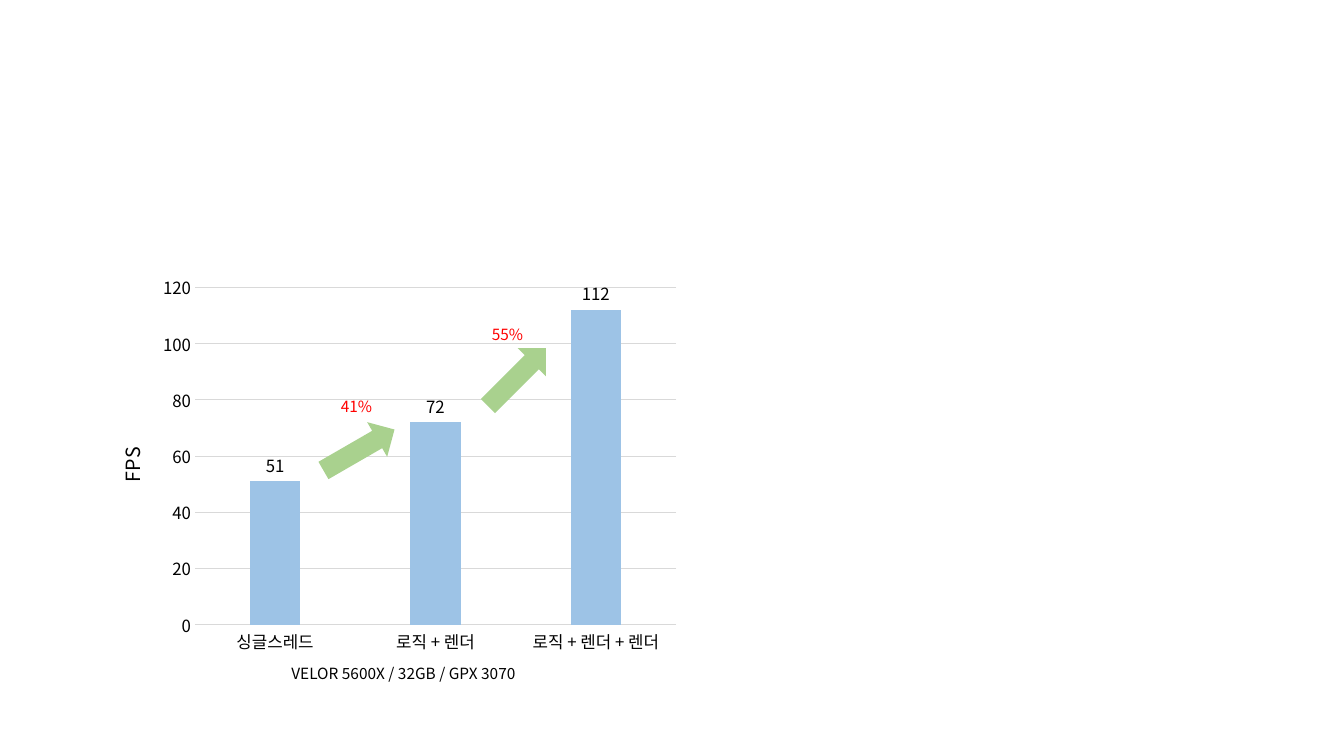
"""Build the frame-rate comparison slide with its column chart and growth arrows."""
from dataclasses import dataclass

from lxml import etree
from pptx import Presentation
from pptx import util as u
from pptx.chart import data as chart_data
from pptx.dml.color import RGBColor
from pptx.enum import chart as charts, shapes, text
from pptx.oxml import ns

WIDTH, HEIGHT = 1344, 756


@dataclass(frozen=True)
class Theme:
    """Fonts, colours and type sizes of the slide."""
    font: str = "Noto Sans CJK KR"
    ink: str = "000000"
    accent: str = "FF0000"
    bar: str = "9DC3E6"
    arrow: str = "A9D18E"
    grid: str = "D9D9D9"
    note_size: int = 11
    label_size: int = 12
    axis_title_size: int = 14


def px(length):
    """Turn pixels into EMU."""
    return u.Emu(round(length * 12192000 / WIDTH))


class SlideBuilder:
    """Draw styled elements on one slide."""

    def __init__(self, slide, theme):
        self.slide = slide
        self.theme = theme

    def style_font(self, font, size, color):
        """Set the font, size and colour."""
        font.name = self.theme.font
        font.size = u.Pt(size)
        font.bold = False
        font.color.rgb = RGBColor.from_string(color)

    def match_east_asian(self, element):
        """Use the Latin font for East Asian letters too."""
        for latin in list(element.iter(ns.qn("a:latin"))):
            east_asian = etree.Element(ns.qn("a:ea"), typeface=self.theme.font)
            latin.addnext(east_asian)

    def style_line(self, line):
        """Draw a thin grid line."""
        line.color.rgb = RGBColor.from_string(self.theme.grid)
        line.width = u.Pt(0.75)

    def label(self, words, left, top, width, height, color):
        """Add one centred line of text."""
        box = self.slide.shapes.add_textbox(px(left), px(top), px(width), px(height))
        frame = box.text_frame
        frame.word_wrap = True
        frame.auto_size = text.MSO_AUTO_SIZE.SHAPE_TO_FIT_TEXT
        paragraph = frame.paragraphs[0]
        paragraph.alignment = text.PP_ALIGN.CENTER
        run = paragraph.add_run()
        run.text = words
        self.style_font(run.font, self.theme.note_size, color)
        self.match_east_asian(box.element)

    def arrow(self, left, top, width, height, rotation):
        """Add a rotated block arrow."""
        shape = self.slide.shapes.add_shape(
            shapes.MSO_SHAPE.RIGHT_ARROW, px(left), px(top), px(width), px(height))
        shape.rotation = rotation
        shape.shadow.inherit = False
        shape.fill.solid()
        shape.fill.fore_color.rgb = RGBColor.from_string(self.theme.arrow)
        shape.line.fill.background()

    def column_chart(self, values, axis_title, left, top, width, height, plot):
        """Add a labelled column chart with a fixed plot area."""
        theme = self.theme
        data = chart_data.CategoryChartData()
        data.categories = list(values)
        data.add_series("Series 1", list(values.values()))
        chart = self.slide.shapes.add_chart(
            charts.XL_CHART_TYPE.COLUMN_CLUSTERED,
            px(left), px(top), px(width), px(height), data).chart
        chart.has_title = False
        chart.has_legend = False
        self.style_font(chart.font, 10, theme.ink)

        columns = chart.plots[0]
        columns.vary_by_categories = False
        columns.gap_width = 219
        columns.overlap = -27
        series = columns.series[0]
        series.format.fill.solid()
        series.format.fill.fore_color.rgb = RGBColor.from_string(theme.bar)
        labels = series.data_labels
        labels.show_value = True
        labels.position = charts.XL_LABEL_POSITION.OUTSIDE_END
        self.style_font(labels.font, theme.label_size, theme.ink)

        for axis in (chart.category_axis, chart.value_axis):
            axis.major_tick_mark = charts.XL_TICK_MARK.NONE
            axis.minor_tick_mark = charts.XL_TICK_MARK.NONE
            self.style_font(axis.tick_labels.font, theme.label_size, theme.ink)
        self.style_line(chart.category_axis.format.line)
        scale = chart.value_axis
        scale.minimum_scale, scale.maximum_scale, scale.major_unit = 0, 120, 20
        scale.format.line.fill.background()
        self.style_line(scale.major_gridlines.format.line)
        run = scale.axis_title.text_frame.paragraphs[0].add_run()
        run.text = axis_title
        self.style_font(run.font, theme.axis_title_size, theme.ink)

        self.place_plot(chart, plot)
        self.match_east_asian(chart.element)

    def place_plot(self, chart, plot):
        """Fix the inner plot area as fractions of the chart."""
        area = next(chart.element.iter(ns.qn("c:plotArea")))
        for old in area.findall(ns.qn("c:layout")):
            area.remove(old)
        layout = etree.Element(ns.qn("c:layout"))
        area.insert(0, layout)
        manual = etree.SubElement(layout, ns.qn("c:manualLayout"))
        settings = {"layoutTarget": "inner", "xMode": "edge", "yMode": "edge",
                    **dict(zip("xywh", plot))}
        for name, value in settings.items():
            etree.SubElement(manual, ns.qn(f"c:{name}"), val=str(value))


def main():
    """Build and save the presentation."""
    presentation = Presentation()
    presentation.slide_width, presentation.slide_height = px(WIDTH), px(HEIGHT)
    theme = Theme()
    slide = presentation.slides.add_slide(presentation.slide_layouts[6])
    builder = SlideBuilder(slide, theme)

    frame_rates = {"싱글스레드": 51, "로직 + 렌더": 72, "로직 + 렌더 + 렌더": 112}
    builder.column_chart(frame_rates, "FPS", 94, 268, 594, 392,
                         plot=(0.17, 0.05, 0.81, 0.86))
    builder.label("VELOR 5600X / 32GB / GPX 3070", 256, 659, 295, 29, theme.ink)

    gains = [("41%", 323, 392, 318, 430, 330), ("55%", 474, 320, 476, 357, 315)]
    for words, label_left, label_top, arrow_left, arrow_top, rotation in gains:
        builder.arrow(arrow_left, arrow_top, 82, 40, rotation)
        builder.label(words, label_left, label_top, 67, 29, theme.accent)

    presentation.save("out.pptx")


if __name__ == "__main__":
    main()
